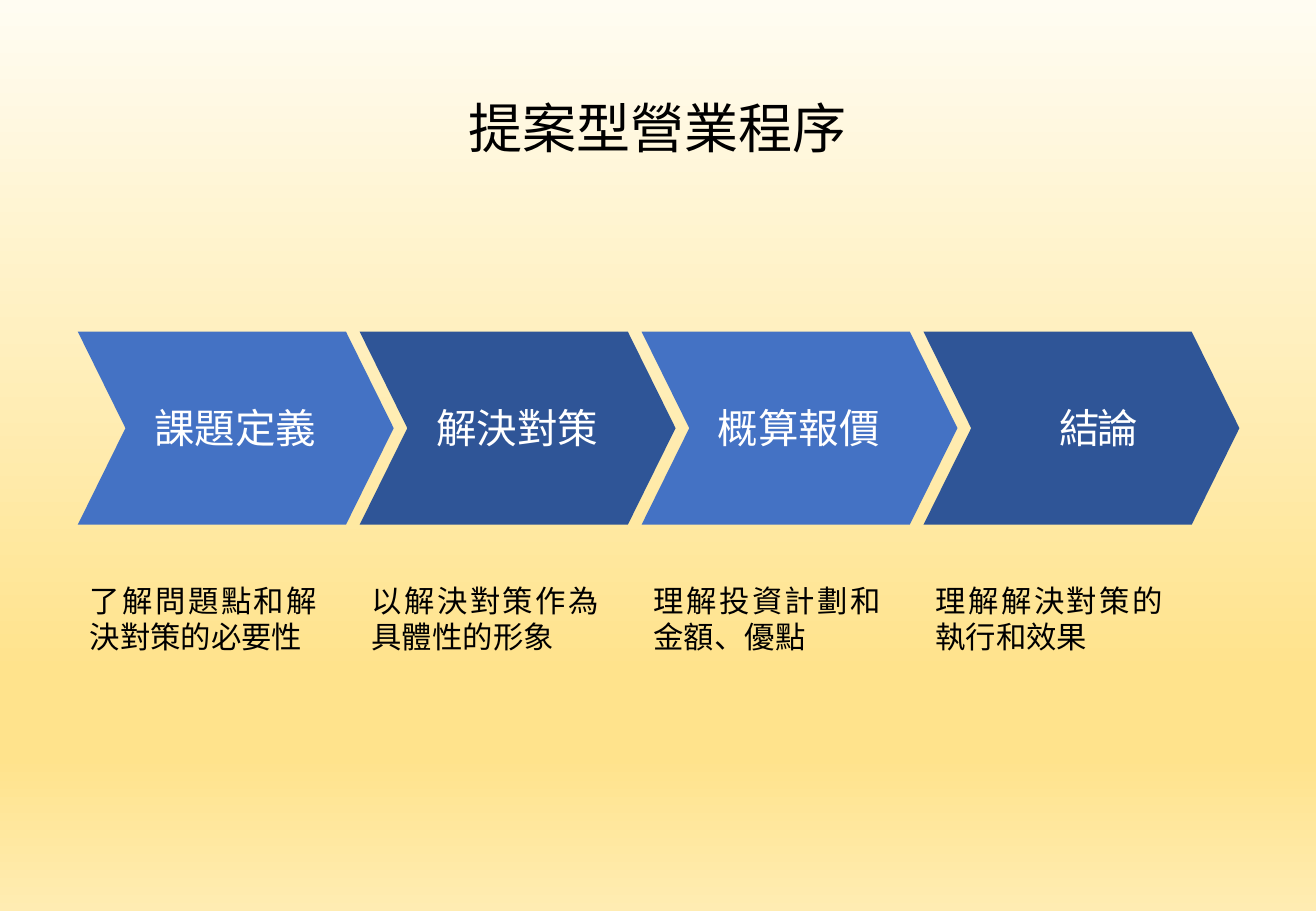
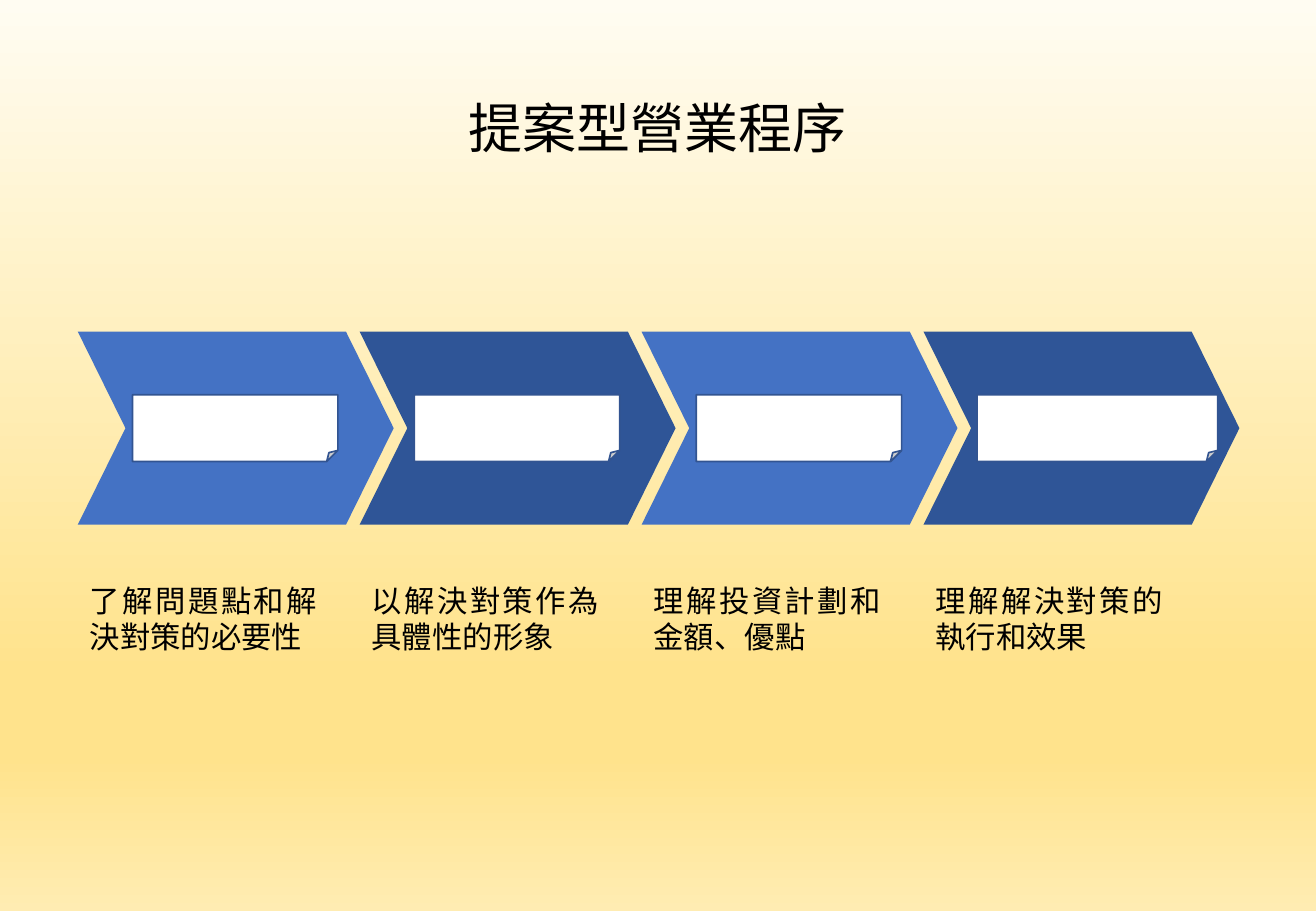
from lxml import etree
from pptx import Presentation
from pptx.dml.color import RGBColor
from pptx.enum.shapes import MSO_SHAPE
from pptx.enum.text import MSO_AUTO_SIZE, PP_ALIGN
from pptx.oxml.ns import qn
from pptx.util import Pt

PX = 9144  # 100 px to the inch
FONT = "Noto Sans CJK SC"
BLACK = RGBColor(0x00, 0x00, 0x00)
WHITE = RGBColor(0xFF, 0xFF, 0xFF)
BLUE = RGBColor(0x44, 0x72, 0xC4)
NAVY = RGBColor(0x2F, 0x55, 0x97)
NOTE_LINE = RGBColor(0x32, 0x54, 0x91)
CREAM = RGBColor(0xFF, 0xFC, 0xF2)
GOLD = RGBColor(0xFF, 0xE3, 0x8C)
PALE_GOLD = RGBColor(0xFF, 0xEC, 0xB2)
BACKGROUND_STOPS = [(0, CREAM), (74, GOLD), (83, GOLD), (100, PALE_GOLD)]

CHEVRON = MSO_SHAPE.CHEVRON
FOLDED_CORNER = MSO_SHAPE.FOLDED_CORNER
FIT_SHAPE = MSO_AUTO_SIZE.SHAPE_TO_FIT_TEXT
CENTER, JUSTIFY = PP_ALIGN.CENTER, PP_ALIGN.JUSTIFY

LEFT, PITCH = 64, 232
TITLE = "提案型營業程序"
# label, description, fill, label (offset, width, spacing), note (offset, width)
STEPS = [
    ("課題定義", "了解問題點和解決對策的必要性", BLUE, (47, 165, 0), (45, 169)),
    ("解決對策", "以解決對策作為具體性的形象", NAVY, (47, 165, 0), (45, 169)),
    ("概算報價", "理解投資計劃和金額、優點", BLUE, (47, 165, 0), (45, 169)),
    ("結論", "理解解決對策的執行和效果", NAVY, (34, 221, -150), (44, 198)),
]


def add_text(shapes, text, bounds, size, color, align, spacing=0):
    box = shapes.add_textbox(*(value * PX for value in bounds))
    frame = box.text_frame
    frame.word_wrap = True
    frame.auto_size = FIT_SHAPE
    para = frame.paragraphs[0]
    para.alignment = align
    span = para.add_run()
    span.text = text
    span.font.size = Pt(size)
    span.font.color.rgb = color
    span.font.name = FONT
    properties = span.font._element
    etree.SubElement(properties, qn("a:ea"), typeface=FONT)
    if spacing:
        properties.set("spc", str(spacing))


def add_block(shapes, kind, bounds, fill):
    block = shapes.add_shape(kind, *(value * PX for value in bounds))
    block.shadow.inherit = False
    block.fill.solid()
    block.fill.fore_color.rgb = fill
    block.line.fill.background()
    return block


deck = Presentation()
deck.slide_width, deck.slide_height = 1083 * PX, 750 * PX

# Shared background gradient, top to bottom
master = deck.slide_master
background = master.background.fill
background.gradient()
background.gradient_angle = 270
stops = master.background._cSld.find(".//" + qn("a:gsLst"))
for stop in list(stops):
    stops.remove(stop)
for position, color in BACKGROUND_STOPS:
    stop = etree.SubElement(stops, qn("a:gs"), pos=str(position * 1000))
    etree.SubElement(stop, qn("a:srgbClr"), val=str(color))

# The first slide names the steps, the second leaves blank notes to fill in
for labelled in (True, False):
    page = deck.slides.add_slide(deck.slide_layouts[6])
    add_text(page.shapes, TITLE, (210, 73, 663, 64), 32, BLACK, CENTER)

    for index, (label, description, fill, label_place, note_place) in enumerate(STEPS):
        left = LEFT + index * PITCH

        # Chevron with its label or note
        group = page.shapes.add_group_shape()
        chevron = add_block(group.shapes, CHEVRON, (left, 273, 260, 159), fill)
        chevron.adjustments[0] = 0.247
        if labelled:
            offset, width, spacing = label_place
            add_text(group.shapes, label, (left + offset, 327, width, 50),
                     24, WHITE, CENTER, spacing)
        else:
            offset, width = note_place
            note = add_block(page.shapes, FOLDED_CORNER,
                             (left + offset, 325, width, 55), WHITE)
            note.line.color.rgb = NOTE_LINE
            note.line.width = Pt(1)

        # Description below
        add_text(page.shapes, description, (left, 474, 207, 71), 18, BLACK, JUSTIFY)

deck.save("out.pptx")
